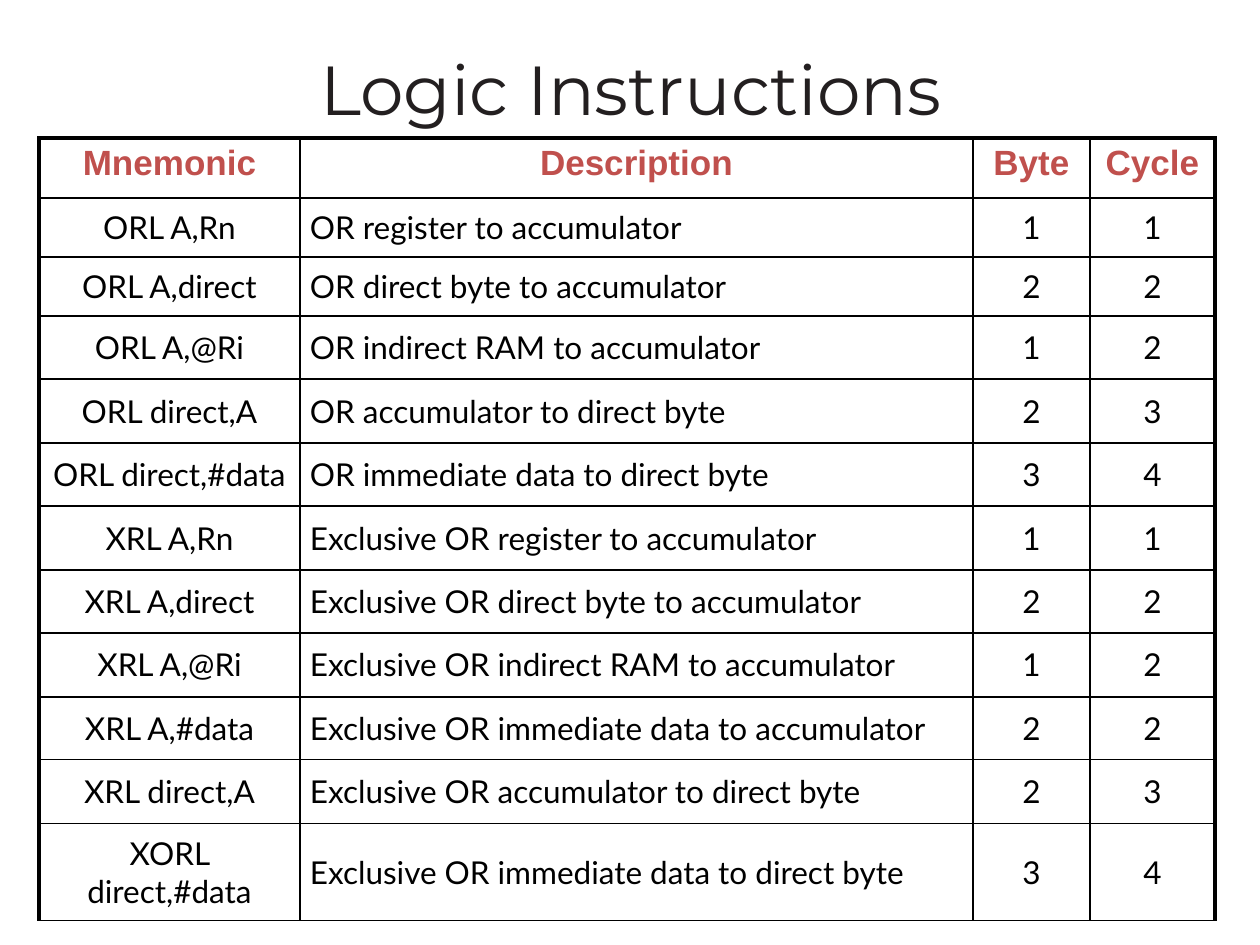
from lxml.etree import SubElement
from pptx import Presentation
from pptx.dml.color import RGBColor
from pptx.enum.text import MSO_ANCHOR as ANCHOR, PP_ALIGN as ALIGN
from pptx.oxml.ns import qn
from pptx.util import Pt

PX = 914400 // 126
TITLE = "Logic Instructions"
HEADER = ("Mnemonic", "Description", "Byte", "Cycle")
INSTRUCTIONS = [
    ("ORL A,Rn", "OR register to accumulator", 1, 1),
    ("ORL A,direct", "OR direct byte to accumulator", 2, 2),
    ("ORL A,@Ri", "OR indirect RAM to accumulator", 1, 2),
    ("ORL direct,A", "OR accumulator to direct byte", 2, 3),
    ("ORL direct,#data", "OR immediate data to direct byte", 3, 4),
    ("XRL A,Rn", "Exclusive OR register to accumulator", 1, 1),
    ("XRL A,direct", "Exclusive OR direct byte to accumulator", 2, 2),
    ("XRL A,@Ri", "Exclusive OR indirect RAM to accumulator", 1, 2),
    ("XRL A,#data", "Exclusive OR immediate data to accumulator", 2, 2),
    ("XRL direct,A", "Exclusive OR accumulator to direct byte", 2, 3),
    ("XORL direct,#data", "Exclusive OR immediate data to direct byte", 3, 4),
]
ROWS = [HEADER] + INSTRUCTIONS
COL_WIDTHS = [261, 673, 117, 125]
ROW_HEIGHTS = [60, 59, 59] + [63, 64] * 4 + [97]


def px(n):
    return n * PX


def color(value):
    return RGBColor.from_string(value)


def write(p, text, size, font, fill, align, bold=False):
    p.alignment = align
    r = p.add_run()
    r.text = text
    r.font.size = Pt(size)
    r.font.name = font
    r.font.bold = bold
    r.font.color.rgb = color(fill)


def add_border(cell, side, width):
    ln = SubElement(cell._tc.get_or_add_tcPr(), qn(f"a:{side}"), w=str(Pt(width)))
    fill = SubElement(ln, qn("a:solidFill"))
    SubElement(fill, qn("a:srgbClr"), val="000000")


def add_title(s):
    tf = s.shapes.add_textbox(px(88), px(39), px(1086), px(97)).text_frame
    tf.word_wrap = True
    tf.vertical_anchor = ANCHOR.MIDDLE
    write(tf.paragraphs[0], TITLE, 39.6, "Montserrat", "231F20", ALIGN.CENTER)


def format_cell(cell, row, col, text):
    header = row == 0
    pad_x, pad_y = (13, 6) if header else (10, 10)
    cell.margin_left = cell.margin_right = px(pad_x)
    cell.margin_top = cell.margin_bottom = px(pad_y)
    cell.vertical_anchor = ANCHOR.TOP if header else ANCHOR.MIDDLE
    p = cell.text_frame.paragraphs[0]
    if header:
        write(p, text, 20, "Arial", "C0504D", ALIGN.CENTER, True)
    else:
        align = ALIGN.JUSTIFY if col == 1 else ALIGN.CENTER
        write(p, text, 18, "Lato", "000000", align)
    outer = {"lnL": col == 0, "lnR": col == len(HEADER) - 1, "lnT": header, "lnB": False}
    for side, thick in outer.items():
        add_border(cell, side, 2.25 if thick else 1)
    cell.fill.background()


def add_instruction_table(s):
    frame = s.shapes.add_table(len(ROWS), len(HEADER), px(39), px(138),
                               px(sum(COL_WIDTHS)), px(sum(ROW_HEIGHTS)))
    table = frame.table
    table.horz_banding = False
    for column, width in zip(table.columns, COL_WIDTHS):
        column.width = px(width)
    for i, (values, height) in enumerate(zip(ROWS, ROW_HEIGHTS)):
        table.rows[i].height = px(height)
        for j, value in enumerate(values):
            format_cell(table.cell(i, j), i, j, str(value))


def main():
    prs = Presentation()
    prs.slide_width, prs.slide_height = px(1260), px(945)
    s = prs.slides.add_slide(prs.slide_layouts[6])
    add_title(s)
    add_instruction_table(s)
    prs.save("out.pptx")


if __name__ == "__main__":
    main()
